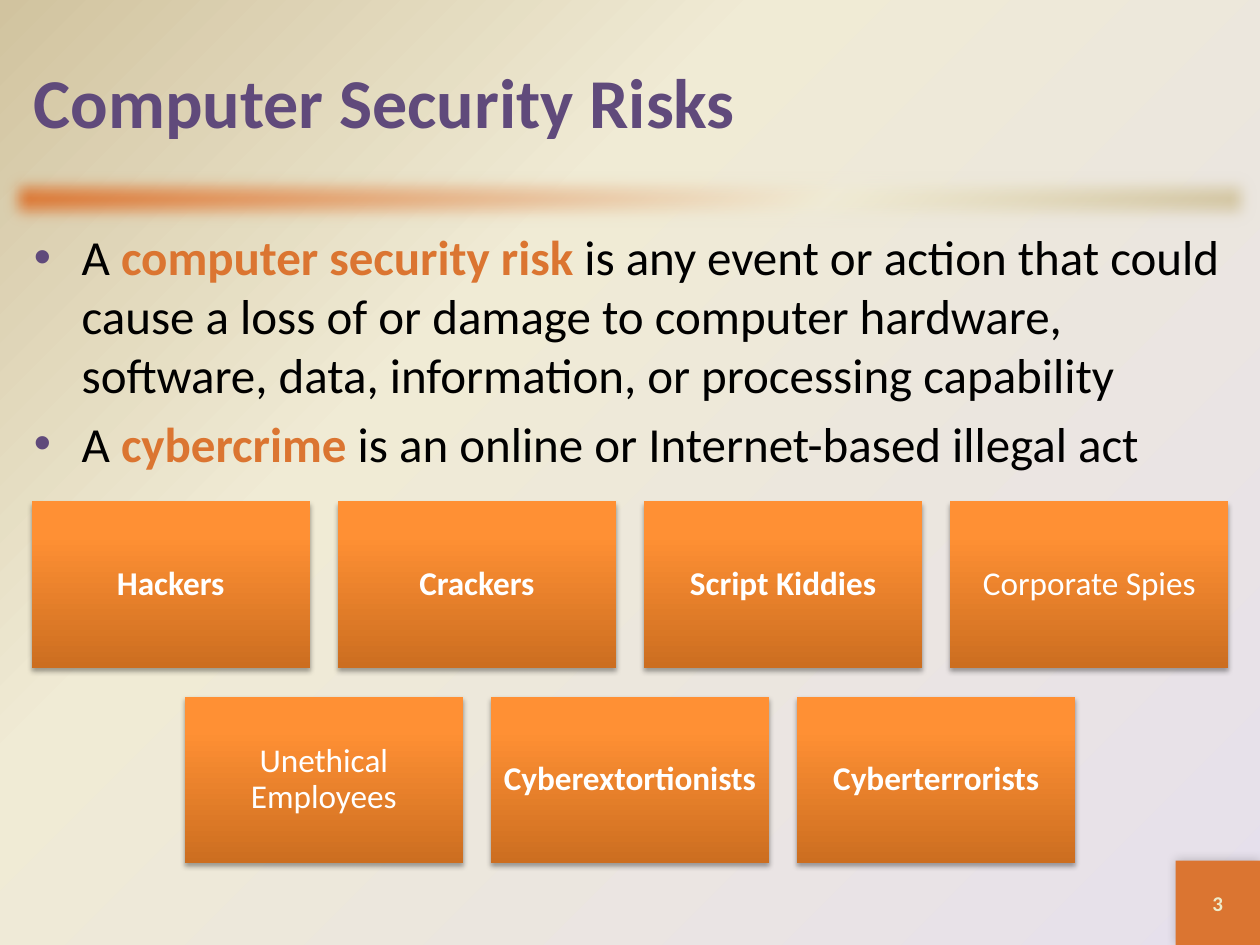
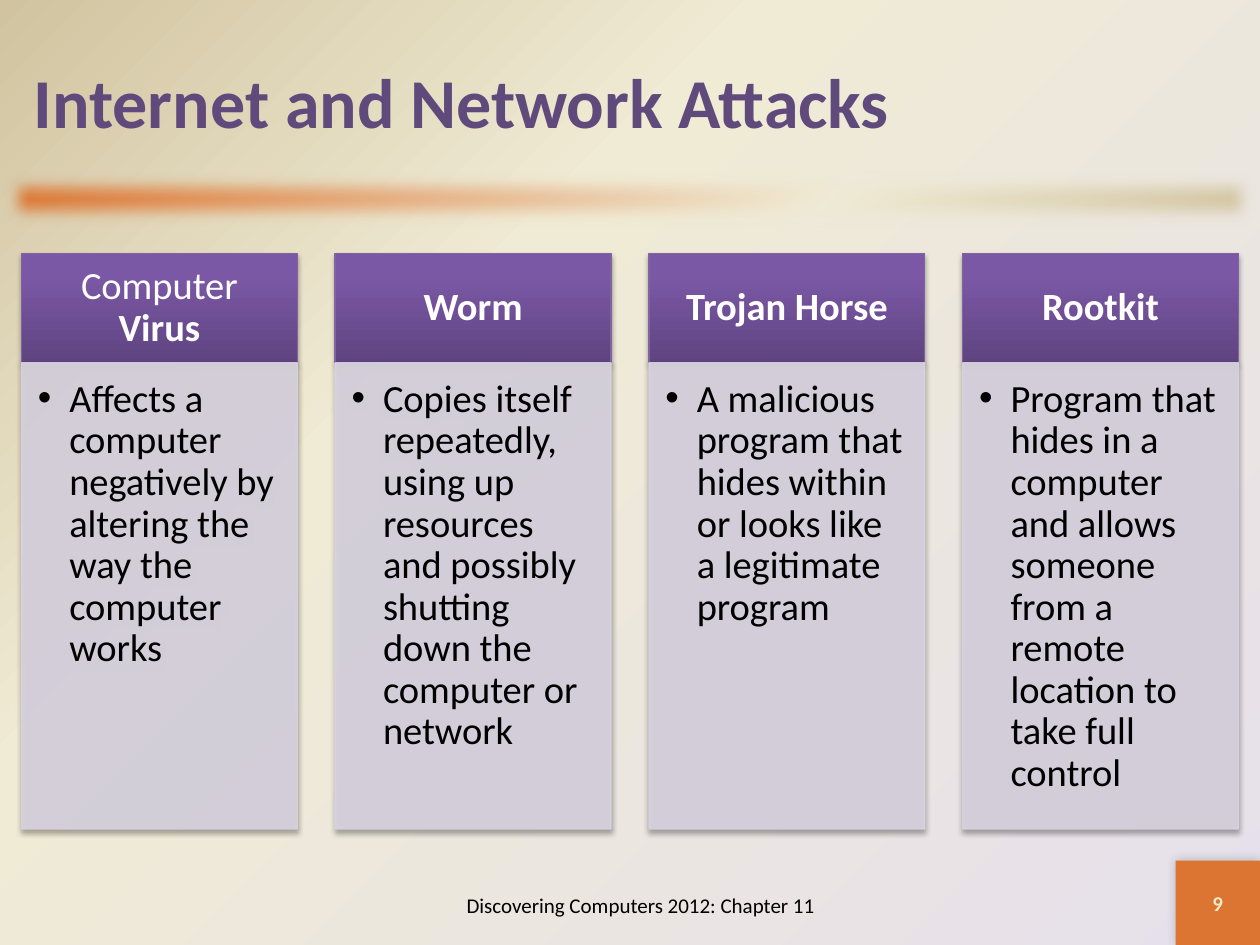
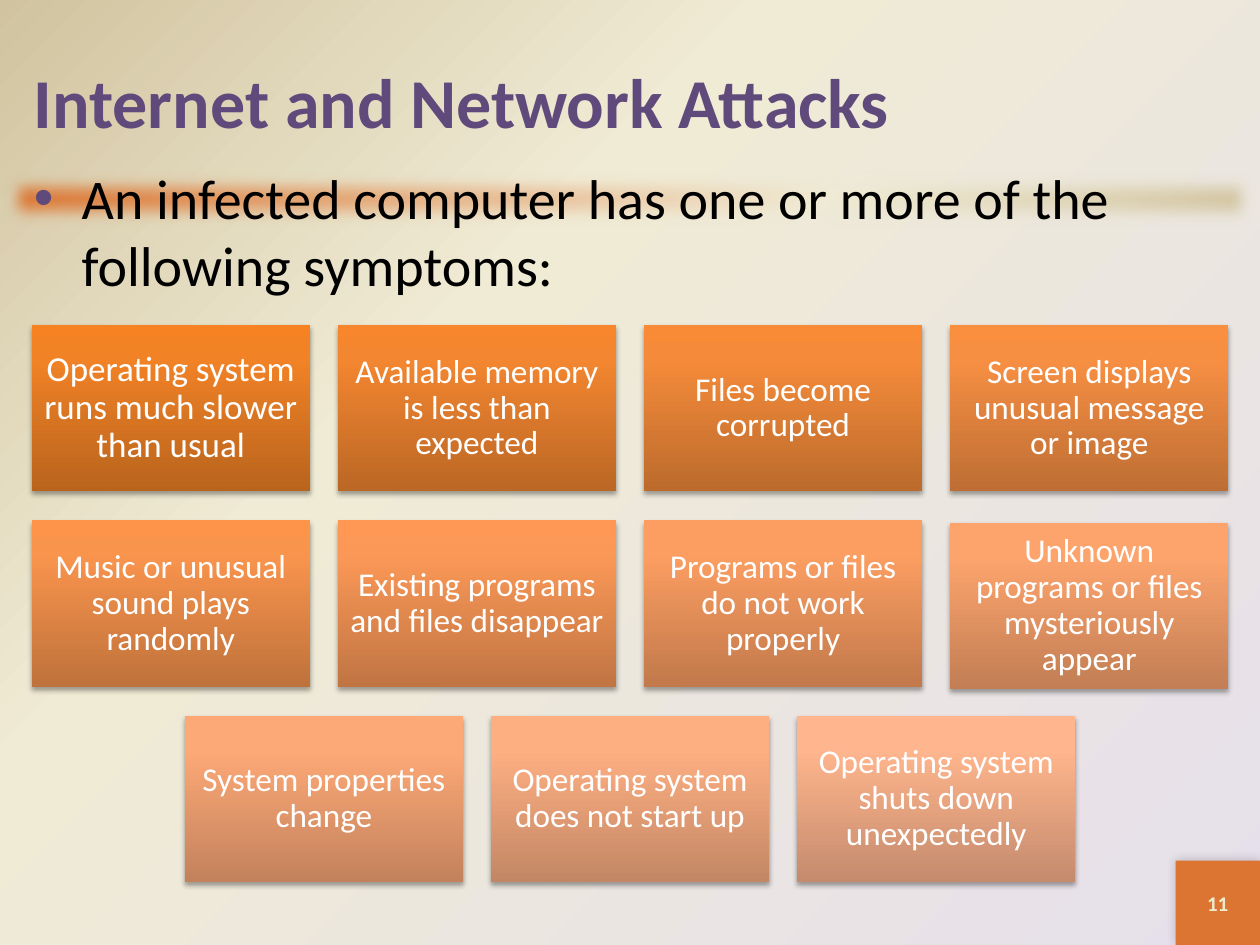
from lxml.etree import SubElement
from pptx import Presentation
from pptx.dml.color import RGBColor
from pptx.enum.shapes import MSO_SHAPE
from pptx.enum.text import MSO_ANCHOR, PP_ALIGN
from pptx.oxml import parse_xml
from pptx.oxml.ns import nsdecls, qn
from pptx.util import Inches, Pt

# Colours
PURPLE = RGBColor(0x60, 0x4A, 0x7B)
ORANGE = RGBColor(0xDB, 0x75, 0x31)
CREAM = RGBColor(0xF0, 0xEB, 0xD5)
TAN = RGBColor(0xD1, 0xC3, 0x9F)
LILAC = RGBColor(0xE6, 0xE0, 0xEC)
PALE_YELLOW = RGBColor(0xEE, 0xEB, 0xCA)
PANEL = RGBColor(0xD8, 0xD3, 0xE0)
HEADER_LINE = RGBColor(0x80, 0x64, 0xA2)
WHITE = RGBColor(0xFF, 0xFF, 0xFF)
BLACK = RGBColor(0x00, 0x00, 0x00)

# Gradient colours at the stops 0, 80 and 100, bottom to top
HEADER_SHADES = (RGBColor(0x5F, 0x44, 0x80), RGBColor(0x7B, 0x58, 0xA6), RGBColor(0x7C, 0x57, 0xA8))
RISK_SHADES = (RGBColor(0xCC, 0x6E, 0x20), RGBColor(0xFF, 0x90, 0x34), RGBColor(0xFF, 0x91, 0x36))
# First, middle and last card of the symptoms fade through these
SYMPTOM_SHADES = (
    (RGBColor(0xB9, 0x64, 0x1D), RGBColor(0xF1, 0x82, 0x26), RGBColor(0xF6, 0x82, 0x22)),
    (RGBColor(0xC1, 0x75, 0x43), RGBColor(0xFB, 0x98, 0x57), RGBColor(0xFF, 0x98, 0x54)),
    (RGBColor(0xC4, 0x8B, 0x6D), RGBColor(0xFF, 0xB5, 0x8D), RGBColor(0xFF, 0xB6, 0x8F)),
)

# Content: a paragraph is a list of runs, a run is text or (text, format)
BOLD = {"bold": True}
TERM = {"bold": True, "color": ORANGE}

RISK_POINTS = [
    ["A ", ("computer security risk ", TERM),
     "is any event or action that could cause a loss of or damage to computer "
     "hardware, software, data, information, or processing capability"],
    ["A ", ("cybercrime", TERM), " is an online or Internet-based illegal act"],
]
RISK_CARDS = [
    ("Hackers", BOLD), ("Crackers", BOLD), ("Script Kiddies", BOLD), "Corporate Spies",
    "Unethical Employees", ("Cyberextortionists", BOLD), ("Cyberterrorists", BOLD),
]
ATTACKS = [
    (["Computer ", ("Virus", BOLD)],
     "Affects a computer negatively by altering the way the computer works"),
    ([("Worm", BOLD)],
     "Copies itself repeatedly, using up resources and possibly shutting down "
     "the computer or network"),
    ([("Trojan Horse", BOLD)],
     "A malicious program that hides within or looks like a legitimate program"),
    ([("Rootkit", BOLD)],
     "Program that hides in a computer and allows someone from a remote location "
     "to take full control"),
]
SYMPTOM_POINTS = [["An infected computer has one or more of the following symptoms:"]]
SYMPTOM_CARDS = [
    ("Operating system runs much slower than usual", {"size": 20}),
    "Available memory is less than expected",
    "Files become corrupted",
    "Screen displays unusual message or image",
    "Music or unusual sound plays randomly",
    "Existing programs and files disappear",
    "Programs or files do not work properly",
    "Unknown programs or files mysteriously appear",
    "System properties change",
    "Operating system does not start up",
    "Operating system shuts down unexpectedly",
]
FOOTER = "Discovering Computers 2012: Chapter 11"

# Geometry in inches
SLIDE_WIDTH, SLIDE_HEIGHT = 10, 7.5
MARGIN = 0.17
CARD_WIDTH, CARD_HEIGHT = 2.21, 1.32
CARD_STEP_X, CARD_STEP_Y = 2.43, 1.55
CARDS_PER_ROW = 4
COLUMN_WIDTH, COLUMN_STEP = 2.19, 2.49
HEADER_TOP, HEADER_HEIGHT, PANEL_HEIGHT = 2.01, 0.87, 3.7
PAGE_BOX = 0.67
CARD_INSETS = (0.08, 0.08, 0.08, 0.08)
HEADER_INSETS = (0.17, 0.1, 0.17, 0.1)
PANEL_INSETS = (0.13, 0.13, 0.17, 0.19)
TEXT_INSETS = (0.1, 0.05, 0.1, 0.05)


def gradient(stops, direction):
    """Return a gradient fill element from (position, colour) stops."""
    listed = "".join(
        f'<a:gs pos="{position * 1000}"><a:srgbClr val="{color}"/></a:gs>'
        for position, color in stops)
    return parse_xml(f'<a:gradFill {nsdecls("a")} rotWithShape="1">'
                     f"<a:gsLst>{listed}</a:gsLst>{direction}</a:gradFill>")


def linear(stops, angle):
    return gradient(stops, f'<a:lin ang="{angle * 60000}" scaled="0"/>')


def card_fill(shades):
    return linear(zip((0, 80, 100), shades), 270)


def write(frame, paragraphs, *, size, color=BLACK, bold=False, align=PP_ALIGN.LEFT,
          anchor=MSO_ANCHOR.TOP, insets=TEXT_INSETS, line_spacing=None,
          space_before=0, bullet_indent=None, bullet_color=None):
    frame.word_wrap = True
    frame.vertical_anchor = anchor
    (frame.margin_left, frame.margin_top,
     frame.margin_right, frame.margin_bottom) = map(Inches, insets)
    for index, runs in enumerate(paragraphs):
        paragraph = frame.add_paragraph() if index else frame.paragraphs[0]
        if bullet_indent:
            properties = paragraph._p.get_or_add_pPr()
            properties.set("marL", str(Inches(bullet_indent)))
            properties.set("indent", str(-Inches(bullet_indent)))
            if bullet_color:
                SubElement(SubElement(properties, qn("a:buClr")), qn("a:srgbClr"),
                           val=str(bullet_color))
            SubElement(properties, qn("a:buFont"), typeface="Arial")
            SubElement(properties, qn("a:buChar"), char="•")
        paragraph.alignment = align
        if line_spacing:
            paragraph.line_spacing = line_spacing
        if index:
            paragraph.space_before = Pt(space_before)
        for item in runs:
            text, own = (item, {}) if isinstance(item, str) else item
            run = paragraph.add_run()
            run.text = text
            run.font.name = "Calibri"
            run.font.size = Pt(own.get("size", size))
            run.font.bold = own.get("bold", bold)
            run.font.color.rgb = own.get("color", color)


def add_text(slide, left, top, width, height, paragraphs, **text_format):
    box = slide.shapes.add_textbox(*map(Inches, (left, top, width, height)))
    write(box.text_frame, paragraphs, **text_format)


def add_rectangle(slide, left, top, width, height, fill, *, line=None, alpha=100,
                  shadow=None, soft_edge=None):
    """Fill is a colour or a gradient element; shadow is alpha, blur, distance, angle."""
    shape = slide.shapes.add_shape(
        MSO_SHAPE.RECTANGLE, *map(Inches, (left, top, width, height)))
    properties = shape.element.spPr
    if isinstance(fill, RGBColor):
        shape.fill.solid()
        shape.fill.fore_color.rgb = fill
    else:
        shape.fill.background()
        properties.replace(properties.find(qn("a:noFill")), fill)
    if line is None:
        shape.line.fill.background()
    else:
        shape.line.color.rgb = line
        shape.line.width = Pt(0.75)
    if alpha < 100:
        for color in properties.iter(qn("a:srgbClr")):
            SubElement(color, qn("a:alpha"), val=str(alpha * 1000))
    shape.shadow.inherit = False
    effects = properties.find(qn("a:effectLst"))
    if shadow:
        opacity, blur, distance, angle = shadow
        outer = SubElement(effects, qn("a:outerShdw"), blurRad=str(Pt(blur)),
                           dist=str(Pt(distance)), dir=str(angle * 60000), rotWithShape="0")
        color = SubElement(outer, qn("a:srgbClr"), val=str(BLACK))
        SubElement(color, qn("a:alpha"), val=str(opacity * 1000))
    if soft_edge:
        SubElement(effects, qn("a:softEdge"), rad=str(Pt(soft_edge)))
    return shape


CARD_SHADOW = (35, 3.1, 1.8, 90)


def start_slide(presentation, title, number):
    """Add a slide with the shared background, title, bar and page number."""
    slide = presentation.slides.add_slide(presentation.slide_layouts[6])
    slide.background.fill.solid()
    background = slide.element.find(".//" + qn("p:bgPr"))
    background.replace(background[0], gradient(
        [(0, LILAC), (65, CREAM), (100, TAN)],
        '<a:path path="circle"><a:fillToRect l="100000" t="100000"/></a:path>'))
    add_rectangle(slide, 0, 1.33, SLIDE_WIDTH, 0.5,
                  linear([(0, ORANGE), (65, CREAM), (100, TAN)], 45), soft_edge=10)
    page_box = add_rectangle(slide, SLIDE_WIDTH - PAGE_BOX, SLIDE_HEIGHT - PAGE_BOX,
                             PAGE_BOX, PAGE_BOX, ORANGE, shadow=(20, 6, 0, 225))
    write(page_box.text_frame, [[str(number)]], size=12, color=PALE_YELLOW, bold=True,
          align=PP_ALIGN.CENTER, anchor=MSO_ANCHOR.MIDDLE)
    add_text(slide, MARGIN, MARGIN, SLIDE_WIDTH - 2 * MARGIN, 1.25, [[title]],
             size=40, color=PURPLE, bold=True, anchor=MSO_ANCHOR.MIDDLE)
    return slide


def add_points(slide, top, points, size):
    add_text(slide, MARGIN, top, SLIDE_WIDTH - 2 * MARGIN, 6.83 - top, points, size=size,
             space_before=size * 0.2, bullet_indent=0.38, bullet_color=PURPLE)


def add_cards(slide, top, cards, shades, lowered=None):
    """Lay cards out in rows, each row centred on the slide."""
    lowered = lowered or {}
    for index, card in enumerate(cards):
        row, column = divmod(index, CARDS_PER_ROW)
        in_row = min(CARDS_PER_ROW, len(cards) - row * CARDS_PER_ROW)
        row_width = (in_row - 1) * CARD_STEP_X + CARD_WIDTH
        left = (SLIDE_WIDTH - row_width) / 2 + column * CARD_STEP_X
        shape = add_rectangle(
            slide, left, top + row * CARD_STEP_Y + lowered.get(index, 0),
            CARD_WIDTH, CARD_HEIGHT, card_fill(shades[index]), shadow=CARD_SHADOW)
        write(shape.text_frame, [[card]], size=19, color=WHITE, align=PP_ALIGN.CENTER,
              anchor=MSO_ANCHOR.MIDDLE, insets=CARD_INSETS, line_spacing=0.9)


def fade(anchors, count):
    """Spread count gradient triples evenly through the anchor triples."""
    triples = []
    for index in range(count):
        place = index * (len(anchors) - 1) / (count - 1)
        start = min(int(place), len(anchors) - 2)
        share = place - start
        triples.append([
            RGBColor(*(round(a + (b - a) * share) for a, b in zip(first, second)))
            for first, second in zip(anchors[start], anchors[start + 1])])
    return triples


def add_attack_columns(slide):
    for index, (name, description) in enumerate(ATTACKS):
        left = MARGIN + index * COLUMN_STEP
        header = add_rectangle(slide, left, HEADER_TOP, COLUMN_WIDTH, HEADER_HEIGHT,
                               card_fill(HEADER_SHADES), line=HEADER_LINE, shadow=CARD_SHADOW)
        write(header.text_frame, [name], size=22, color=WHITE, align=PP_ALIGN.CENTER,
              anchor=MSO_ANCHOR.MIDDLE, insets=HEADER_INSETS, line_spacing=0.9)
        panel = add_rectangle(slide, left, HEADER_TOP + HEADER_HEIGHT, COLUMN_WIDTH,
                              PANEL_HEIGHT, PANEL, line=PANEL, alpha=90, shadow=CARD_SHADOW)
        write(panel.text_frame, [[description]], size=22, insets=PANEL_INSETS,
              line_spacing=0.9, bullet_indent=0.25)


def main():
    presentation = Presentation()
    presentation.slide_width = Inches(SLIDE_WIDTH)
    presentation.slide_height = Inches(SLIDE_HEIGHT)

    # Risks
    slide = start_slide(presentation, "Computer Security Risks", 3)
    add_points(slide, 1.75, RISK_POINTS, 28)
    add_cards(slide, 3.98, RISK_CARDS, [RISK_SHADES] * len(RISK_CARDS))

    # Kinds of attack
    slide = start_slide(presentation, "Internet and Network Attacks", 9)
    add_attack_columns(slide)
    add_text(slide, 3, 6.91, 4.17, 0.55, [[FOOTER]], size=12,
             align=PP_ALIGN.CENTER, anchor=MSO_ANCHOR.MIDDLE)

    # Symptoms
    slide = start_slide(presentation, "Internet and Network Attacks", 11)
    add_points(slide, 1.25, SYMPTOM_POINTS, 32)
    add_cards(slide, 2.58, SYMPTOM_CARDS, fade(SYMPTOM_SHADES, len(SYMPTOM_CARDS)),
              lowered={7: 0.02})

    presentation.save("out.pptx")


if __name__ == "__main__":
    main()
